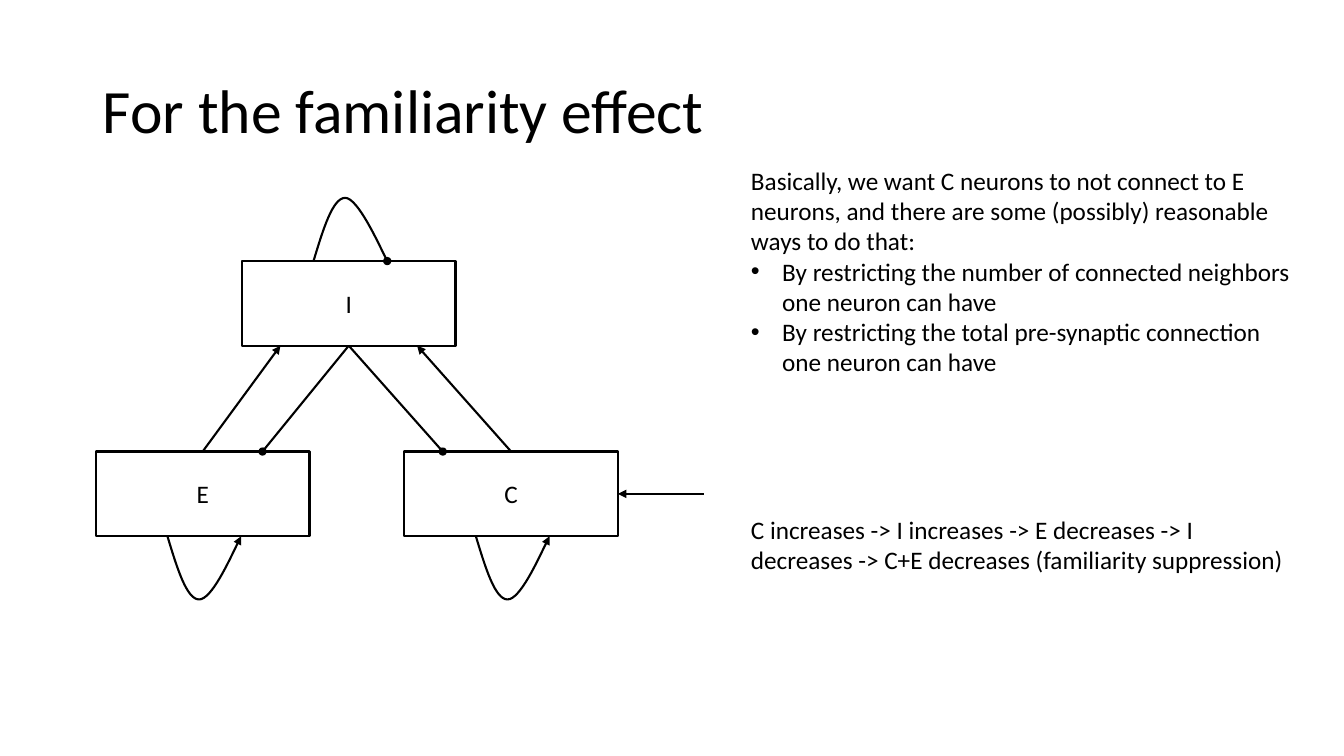
"""Builds the slide on the circuit behind the familiarity effect."""
from dataclasses import dataclass
from lxml.etree import SubElement as Sub
from pptx import Presentation
from pptx.dml.color import RGBColor as Rgb
from pptx.enum.shapes import MSO_CONNECTOR as Conn, MSO_SHAPE as Form
from pptx.enum.text import MSO_ANCHOR as Anchor, MSO_AUTO_SIZE as Auto, PP_ALIGN as Align
from pptx.oxml.ns import qn
from pptx.util import Inches, Pt


@dataclass(frozen=True)
class Theme:
    """Colours, type and line sizes."""
    ink: Rgb = Rgb(0, 0, 0)
    face: str = "Calibri"
    head: Pt = Pt(44)
    body: Pt = Pt(18)
    line: Pt = Pt(1.5)


LOOK = Theme()
WIDE, HIGH = Inches(13.33), Inches(7.5)
BOX_W, BOX_H = 15.9, 11.2
LOOP_H = 8.36
ARCH = [(0, 0), (.13, .5), (.26, 1), (.43, 1), (.6, 1), (.92, .18), (1, 0)]
NODES = {"I": (18, 34.53), "E": (7.13, 59.73), "C": (30.08, 59.73)}
LINKS = [
    ("I", .5, 1, "E", .78, 0, "oval"),
    ("E", .5, 0, "I", .18, 1, "triangle"),
    ("I", .5, 1, "C", .18, 0, "oval"),
    ("C", .5, 0, "I", .82, 1, "triangle"),
]
LOOPS = [("I", 0, "oval"), ("E", 1, "triangle"), ("C", 1, "triangle")]
AIM = [
    ("Basically, we want C neurons to not connect to E neurons, "
     "and there are some (possibly) reasonable ways to do that:", False),
    ("By restricting the number of connected neighbors one neuron can have", True),
    ("By restricting the total pre-synaptic connection one neuron can have", True),
]
CHAIN = [("C increases -> I increases -> E decreases -> I decreases -> "
          "C+E decreases (familiarity suppression)", False)]


def spot(x, y):
    """Turn percent shares of the slide into lengths."""
    return round(WIDE * x / 100), round(HIGH * y / 100)


def port(name, across, down):
    """Find a point of a node from shares of its box."""
    left, top = NODES[name]
    return left + BOX_W * across, top + BOX_H * down


def apply(item, form):
    """Set the attributes given in a dict."""
    for key, value in form.items():
        setattr(item, key, value)


def write(par, text, size):
    """Add one styled run to a paragraph."""
    run = par.add_run()
    run.text = text
    apply(run.font, {"name": LOOK.face, "size": size})
    run.font.color.rgb = LOOK.ink


def stroke(item, tip=None):
    """Draw the line of an item and its end mark."""
    item.line.color.rgb = LOOK.ink
    item.line.width = LOOK.line
    if tip:
        Sub(item.line._get_or_add_ln(), qn("a:tailEnd"), type=tip)


def title(slide, text):
    """Place and format the title."""
    head = slide.shapes.title
    left, top = spot(6.9, 5.33)
    width, height = spot(86.25, 19.33)
    apply(head, {"left": left, "top": top, "width": width, "height": height})
    apply(head.text_frame, {"vertical_anchor": Anchor.MIDDLE, "word_wrap": True})
    par = head.text_frame.paragraphs[0]
    apply(par, {"alignment": Align.LEFT, "line_spacing": .9})
    write(par, text, LOOK.head)


def node(slide, name):
    """Add a labelled box."""
    box = slide.shapes.add_shape(Form.RECTANGLE, *spot(*NODES[name]), *spot(BOX_W, BOX_H))
    box.shadow.inherit = False
    box.fill.background()
    stroke(box)
    box.text_frame.vertical_anchor = Anchor.MIDDLE
    par = box.text_frame.paragraphs[0]
    par.alignment = Align.CENTER
    write(par, name, LOOK.body)


def link(slide, start, end, tip):
    """Add a straight line with an end mark."""
    wire = slide.shapes.add_connector(Conn.STRAIGHT, *spot(*start), *spot(*end))
    stroke(wire, tip)
    Sub(wire._element.spPr, qn("a:effectLst"))


def loop(slide, name, side, tip):
    """Add a curve from a node back to itself, above or below."""
    left, base = port(name, .335, side)
    span = BOX_W * .345
    rise = LOOP_H if side else -LOOP_H
    dots = [spot(left + span * x, base + rise * y) for x, y in ARCH]
    pen = slide.shapes.build_freeform(*dots[0])
    pen.add_line_segments(dots[1:], close=False)
    arc = pen.convert_to_shape()
    arc.shadow.inherit = False
    arc.fill.background()
    stroke(arc, tip)
    legs = arc._element.xpath(".//a:lnTo")
    for at in range(0, len(legs), 3):
        bend = Sub(legs[at].getparent(), qn("a:cubicBezTo"))
        for leg in legs[at:at + 3]:
            bend.append(leg[0])
            leg.getparent().remove(leg)


def bullet(par):
    """Give a paragraph a hanging bullet."""
    props = par._p.get_or_add_pPr()
    props.set("marL", str(Inches(.31)))
    props.set("indent", str(-Inches(.31)))
    Sub(props, qn("a:buFont"), typeface="Arial")
    Sub(props, qn("a:buChar"), char="•")


def note(slide, place, size, lines):
    """Add a text box of plain and bulleted lines."""
    frame = slide.shapes.add_textbox(*spot(*place), *spot(*size)).text_frame
    apply(frame, {"word_wrap": True, "auto_size": Auto.SHAPE_TO_FIT_TEXT})
    for at, (text, listed) in enumerate(lines):
        par = frame.add_paragraph() if at else frame.paragraphs[0]
        if listed:
            bullet(par)
        write(par, text, LOOK.body)


def main():
    """Build and save the slide."""
    deck = Presentation()
    apply(deck, {"slide_width": WIDE, "slide_height": HIGH})
    slide = deck.slides.add_slide(deck.slide_layouts[5])
    title(slide, "For the familiarity effect")
    for name in NODES:
        node(slide, name)
    for name, side, tip in LOOPS:
        loop(slide, name, side, tip)
    for src, x, y, dest, across, down, tip in LINKS:
        link(slide, port(src, x, y), port(dest, across, down), tip)
    end = port("C", 1, .5)
    link(slide, (52.35, end[1]), end, "triangle")
    note(slide, (55.14, 21.2), (41.86, 33.6), AIM)
    note(slide, (55.14, 67.33), (41.56, 9.47), CHAIN)
    deck.save("out.pptx")


if __name__ == "__main__":
    main()
